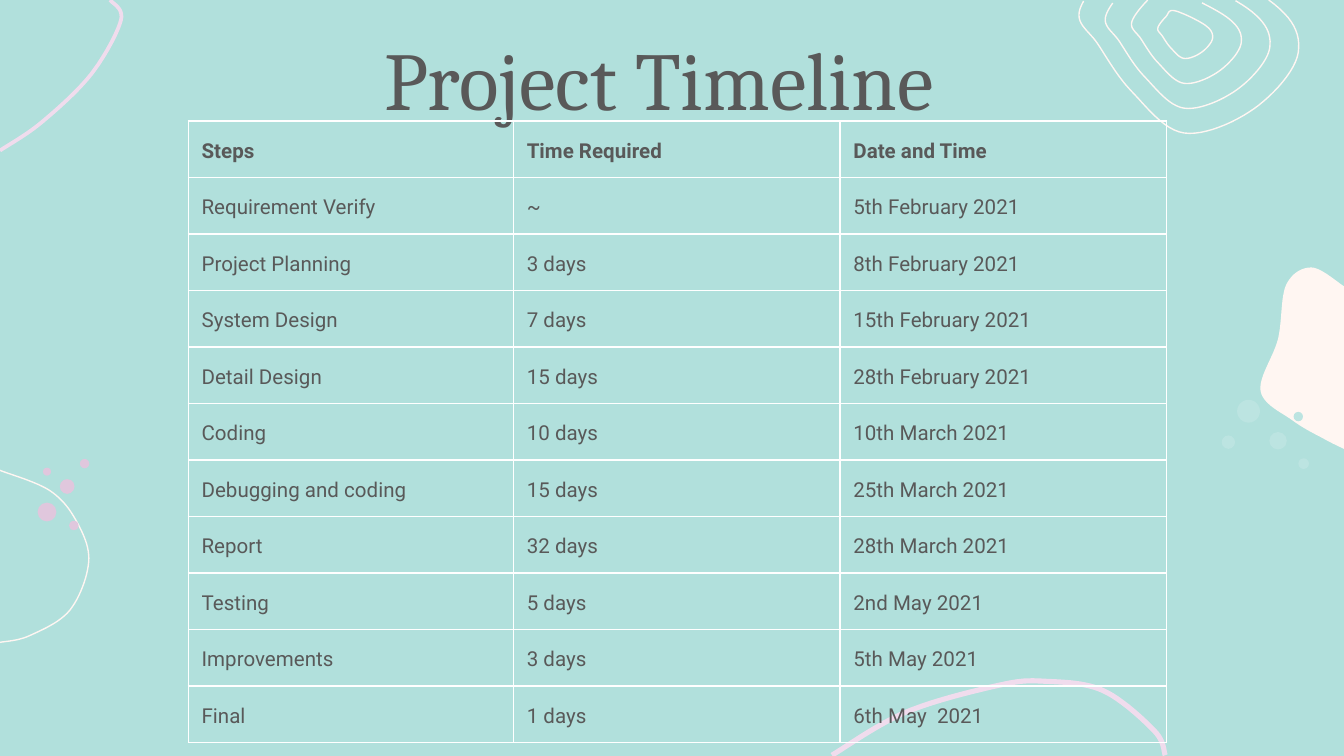
from lxml import etree
from pptx import Presentation
from pptx.dml.color import RGBColor
from pptx.enum.shapes import MSO_SHAPE
from pptx.enum.text import MSO_ANCHOR, PP_ALIGN
from pptx.oxml.ns import qn
from pptx.util import Pt

PX = 9144  # 100 px to the inch
WIDTH, HEIGHT = 1000, 562.5
TEAL, CREAM, PINK = "B1E0DC", "FFF6F2", "F0DCED"
PALE_TEAL, MAUVE, GREY, WHITE = "BCE4E1", "E0C7DD", "595959", "FFFFFF"

TITLE = "Project Timeline"
TITLE_BOX = (108, 11, 765, 63)

TABLE_LEFT, TABLE_TOP = 140, 90
COL_WIDTHS, ROW_HEIGHT = (242, 243, 243), 42
ROWS = [
    ("Steps", "Time Required", "Date and Time"),
    ("Requirement Verify", "~", "5th February 2021"),
    ("Project Planning", "3 days", "8th February 2021"),
    ("System Design", "7 days", "15th February 2021"),
    ("Detail Design", "15 days", "28th February 2021"),
    ("Coding", "10 days", "10th March 2021"),
    ("Debugging and coding", "15 days", "25th March 2021"),
    ("Report", "32 days", "28th March 2021"),
    ("Testing", "5 days", "2nd May 2021"),
    ("Improvements", "3 days", "5th May 2021"),
    ("Final", "1 days", "6th May  2021"),
]

# Points that smooth curves run through
BLOB = [(1000, 213), (976, 199), (957, 212), (951, 252), (938, 291),
        (962, 313), (986, 327), (1000, 334)]
ARCS = [  # colour, line width in points, curve
    (PINK, 2, [(82, 0), (90, 15), (68, 55), (31, 91), (0, 112)]),
    (PINK, 2.75, [(619, 562), (674, 530), (743, 510), (778, 507), (821, 514),
                  (859, 544), (867, 562)]),
    (CREAM, 0.75, [(0, 478), (22, 473), (52, 454), (66, 418), (57, 388),
                   (37, 365), (0, 350)]),
]

# One contour outline around its centre, drawn at four scales
RING_CENTER = (881, 25)
RING_SCALES = (1, 0.75, 0.5, 0.25)
RING = [(-28, -68), (-54, -50), (-78, -16), (-64, 8), (-39, 43), (0, 74),
        (52, 56), (85, 14), (63, -25)]

DOTS = {  # centre x, centre y, diameter
    PALE_TEAL: [(929, 306, 17), (951, 328, 13), (914, 329, 10), (970, 345, 8), (966, 310, 7)],
    MAUVE: [(35, 381, 14), (50, 362, 11), (55, 391, 7), (63, 345, 7), (35, 351, 6)],
}


def px(value):
    return round(value * PX)


def rgb(color):
    return RGBColor.from_string(color)


def smooth(points, loop=False, steps=12):
    """Catmull-Rom curve through the points."""
    if loop:
        points = [points[-1], *points, *points[:2]]
    else:
        points = [points[0], *points, points[-1]]
    curve = [points[1]]
    for quad in zip(points, points[1:], points[2:], points[3:]):
        for i in range(1, steps + 1):
            t = i / steps
            curve.append(tuple(
                b + t * ((c - a) + t * ((2 * a - 5 * b + 4 * c - d)
                                        + t * (3 * b - a - 3 * c + d))) / 2
                for a, b, c, d in zip(*quad)))
    return curve


def add_curve(s, curve, fill=None, line=None, width=0):
    points = [(px(x), px(y)) for x, y in curve]
    builder = s.shapes.build_freeform(*points[0])
    builder.add_line_segments(points[1:], close=bool(fill) or points[0] == points[-1])
    paint(builder.convert_to_shape(), fill, line, width)


def paint(sp, fill=None, line=None, width=0):
    sp.shadow.inherit = False
    if fill:
        sp.fill.solid()
        sp.fill.fore_color.rgb = rgb(fill)
    else:
        sp.fill.background()
    if line:
        sp.line.color.rgb = rgb(line)
        sp.line.width = Pt(width)
    else:
        sp.line.fill.background()


def style(p, font, size, bold=False):
    for r in p.runs:
        r.font.name, r.font.size, r.font.bold = font, Pt(size), bold
        r.font.color.rgb = rgb(GREY)


def set_insets(box):
    box.margin_left = box.margin_right = box.margin_top = box.margin_bottom = px(10)


def set_borders(cell, color, width):
    tc_pr = cell._tc.get_or_add_tcPr()
    for i, side in enumerate(("lnL", "lnR", "lnT", "lnB")):
        ln = etree.Element(qn(f"a:{side}"), w=str(Pt(width)))
        fill = etree.SubElement(ln, qn("a:solidFill"))
        etree.SubElement(fill, qn("a:srgbClr"), val=color)
        tc_pr.insert(i, ln)


prs = Presentation()
prs.slide_width, prs.slide_height = px(WIDTH), px(HEIGHT)
s = prs.slides.add_slide(prs.slide_layouts[6])
s.background.fill.solid()
s.background.fill.fore_color.rgb = rgb(TEAL)

# Blob, arcs and contour rings, cut at the top edge of the slide
add_curve(s, smooth(BLOB), fill=CREAM)
for color, width, points in ARCS:
    add_curve(s, smooth(points), line=color, width=width)
cx, cy = RING_CENTER
for scale in RING_SCALES:
    ring = [(cx + scale * x, cy + scale * y) for x, y in smooth(RING, loop=True)]
    add_curve(s, [(x, y) for x, y in ring if y >= 0], line=CREAM, width=0.75)

# Dots
for color, dots in DOTS.items():
    for x, y, size in dots:
        box = (x - size / 2, y - size / 2, size, size)
        paint(s.shapes.add_shape(MSO_SHAPE.OVAL, *map(px, box)), color)

# Title
tf = s.shapes.add_textbox(*map(px, TITLE_BOX)).text_frame
tf.word_wrap = True
tf.vertical_anchor = MSO_ANCHOR.TOP
set_insets(tf)
tf.text = TITLE
tf.paragraphs[0].alignment = PP_ALIGN.CENTER
style(tf.paragraphs[0], "Cambria", 44)

# Timeline table
table = s.shapes.add_table(len(ROWS), len(COL_WIDTHS), px(TABLE_LEFT), px(TABLE_TOP),
                           px(sum(COL_WIDTHS)), px(ROW_HEIGHT * len(ROWS))).table
table.horz_banding = False
for column, width in zip(table.columns, COL_WIDTHS):
    column.width = px(width)
for i, row in enumerate(ROWS):
    for j, text in enumerate(row):
        cell = table.cell(i, j)
        cell.fill.background()
        set_borders(cell, WHITE, 0.83)
        set_insets(cell)
        cell.text = text
        p = cell.text_frame.paragraphs[0]
        p.line_spacing = 1.2
        style(p, "Roboto", 11, bold=i == 0)

prs.save("out.pptx")
